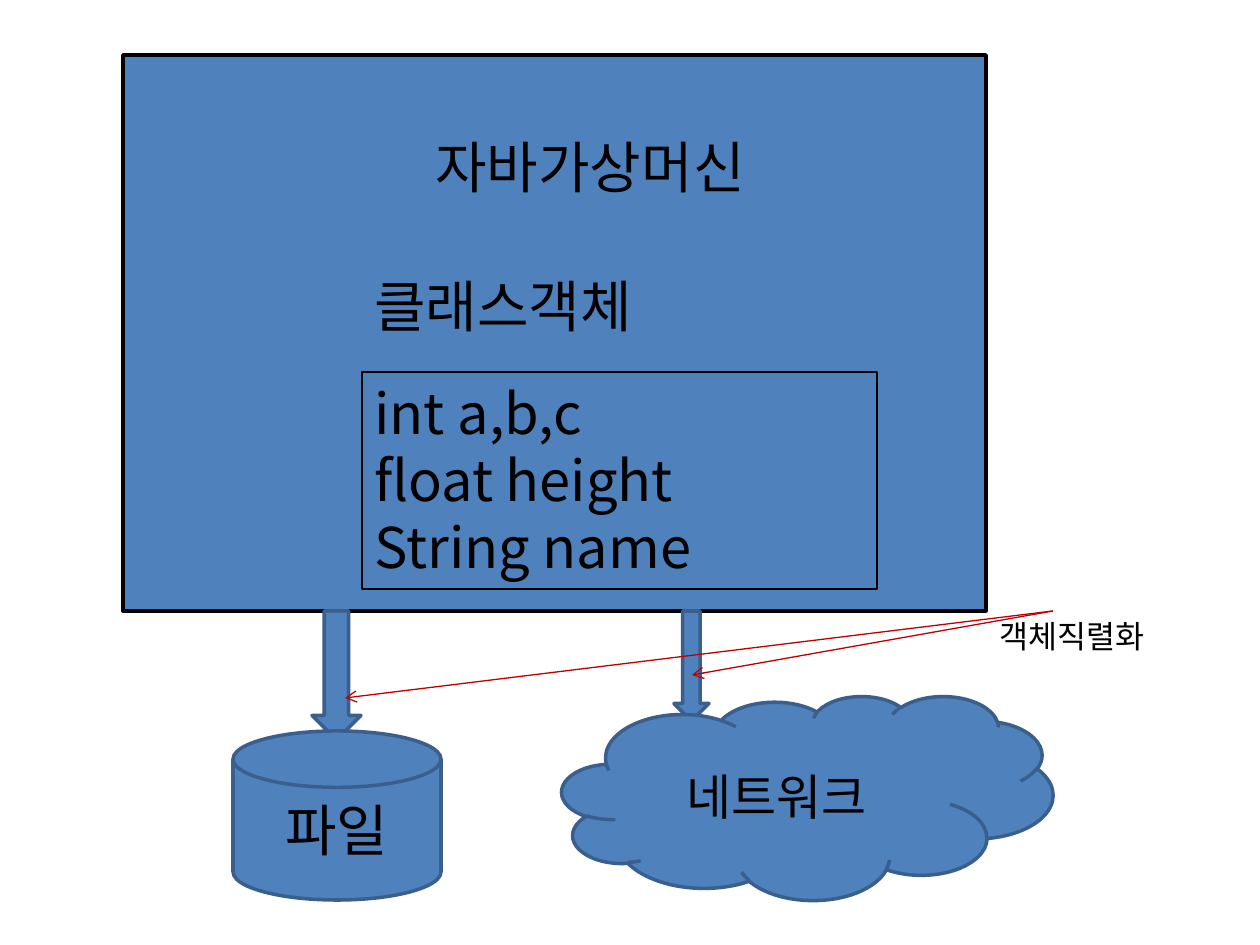
from dataclasses import dataclass

from lxml import etree
from pptx import Presentation
from pptx.dml.color import RGBColor
from pptx.enum.shapes import MSO_CONNECTOR, MSO_SHAPE
from pptx.enum.text import MSO_ANCHOR, MSO_AUTO_SIZE, PP_ALIGN
from pptx.oxml.ns import qn
from pptx.util import Emu, Pt

RECT = MSO_SHAPE.RECTANGLE
ARROW = MSO_SHAPE.DOWN_ARROW
DISK = MSO_SHAPE.FLOWCHART_MAGNETIC_DISK
CLOUD = MSO_SHAPE.CLOUD
STRAIGHT = MSO_CONNECTOR.STRAIGHT
LEFT, CENTER = PP_ALIGN.LEFT, PP_ALIGN.CENTER
TOP, MIDDLE = MSO_ANCHOR.TOP, MSO_ANCHOR.MIDDLE
GROW, FIXED = MSO_AUTO_SIZE.SHAPE_TO_FIT_TEXT, MSO_AUTO_SIZE.NONE

FONT = "Noto Sans CJK KR"
BLACK, BLUE, NAVY, RED = "000000", "4F81BD", "3A5F8C", "C00000"
PX_PER_INCH = 126
Box = tuple[int, int, int, int]


@dataclass
class Node:
    kind: MSO_SHAPE
    box: Box
    fill: str | None = BLUE
    line: str = NAVY
    width: float = 2
    lines: tuple[str, ...] = ()
    align: PP_ALIGN = LEFT
    anchor: MSO_ANCHOR = TOP
    fit: MSO_AUTO_SIZE = FIXED


@dataclass
class Label:
    text: str
    box: Box
    size: int = 32


VM_BOTTOM = 611
POINTER_START = (1053, VM_BOTTOM)
POINTER_ENDS = [(692, 675), (345, 698)]

NODES = [
    Node(RECT, (123, 55, 863, 556), line=BLACK),
    Node(RECT, (362, 372, 515, 217), None, BLACK, 0.75,
         ("int a,b,c", "float height", "String name"), fit=GROW),
    Node(ARROW, (312, VM_BOTTOM, 49, 129)),
    Node(ARROW, (674, VM_BOTTOM, 35, 110)),
    Node(DISK, (233, 731, 208, 169), lines=("파일",), align=CENTER, anchor=MIDDLE),
    Node(CLOUD, (562, 696, 491, 204)),
]

LABELS = [
    Label("자바가상머신", (423, 126, 384, 81)),
    Label("클래스객체", (362, 265, 328, 81)),
    Label("객체직렬화", (987, VM_BOTTOM, 184, 50), 18),
    Label("네트워크", (674, 760, 223, 72), 28),
]


def px(n: int) -> Emu:
    return Emu(round(n * 914400 / PX_PER_INCH))


def rgb(color: str) -> RGBColor:
    return RGBColor.from_string(color)


def write(tf, lines: tuple[str, ...], size: int = 32, align: PP_ALIGN = LEFT) -> None:
    for i, text in enumerate(lines):
        p = tf.paragraphs[0] if i == 0 else tf.add_paragraph()
        p.add_run().text = text
        p.alignment = align
        p.font.size = Pt(size)
        p.font.color.rgb = rgb(BLACK)
        p.font.name = FONT
        latin = p._p.pPr.find(qn("a:defRPr")).find(qn("a:latin"))
        ea = etree.Element(qn("a:ea"), typeface=FONT)
        latin.addnext(ea)


def draw_node(slide, node: Node) -> None:
    s = slide.shapes.add_shape(node.kind, *map(px, node.box))
    s.shadow.inherit = False
    if node.fill:
        s.fill.solid()
        s.fill.fore_color.rgb = rgb(node.fill)
    else:
        s.fill.background()
    s.line.color.rgb = rgb(node.line)
    s.line.width = Pt(node.width)
    if node.lines:
        tf = s.text_frame
        tf.word_wrap = True
        tf.auto_size = node.fit
        tf.vertical_anchor = node.anchor
        write(tf, node.lines, align=node.align)


def draw_pointer(slide, start: tuple[int, int], end: tuple[int, int]) -> None:
    s = slide.shapes.add_connector(STRAIGHT, *map(px, start + end))
    s.line.color.rgb = rgb(RED)
    s.line.width = Pt(0.75)
    etree.SubElement(s.line._get_or_add_ln(), qn("a:tailEnd"), type="arrow")
    etree.SubElement(s._element.spPr, qn("a:effectLst"))


def draw_label(slide, label: Label) -> None:
    tf = slide.shapes.add_textbox(*map(px, label.box)).text_frame
    tf.word_wrap = False
    tf.auto_size = GROW
    write(tf, (label.text,), label.size)


def main() -> None:
    prs = Presentation()
    prs.slide_width, prs.slide_height = px(1260), px(945)
    slide = prs.slides.add_slide(prs.slide_layouts[6])
    for node in NODES:
        draw_node(slide, node)
    for end in POINTER_ENDS:
        draw_pointer(slide, POINTER_START, end)
    for label in LABELS:
        draw_label(slide, label)
    prs.save("out.pptx")


if __name__ == "__main__":
    main()
